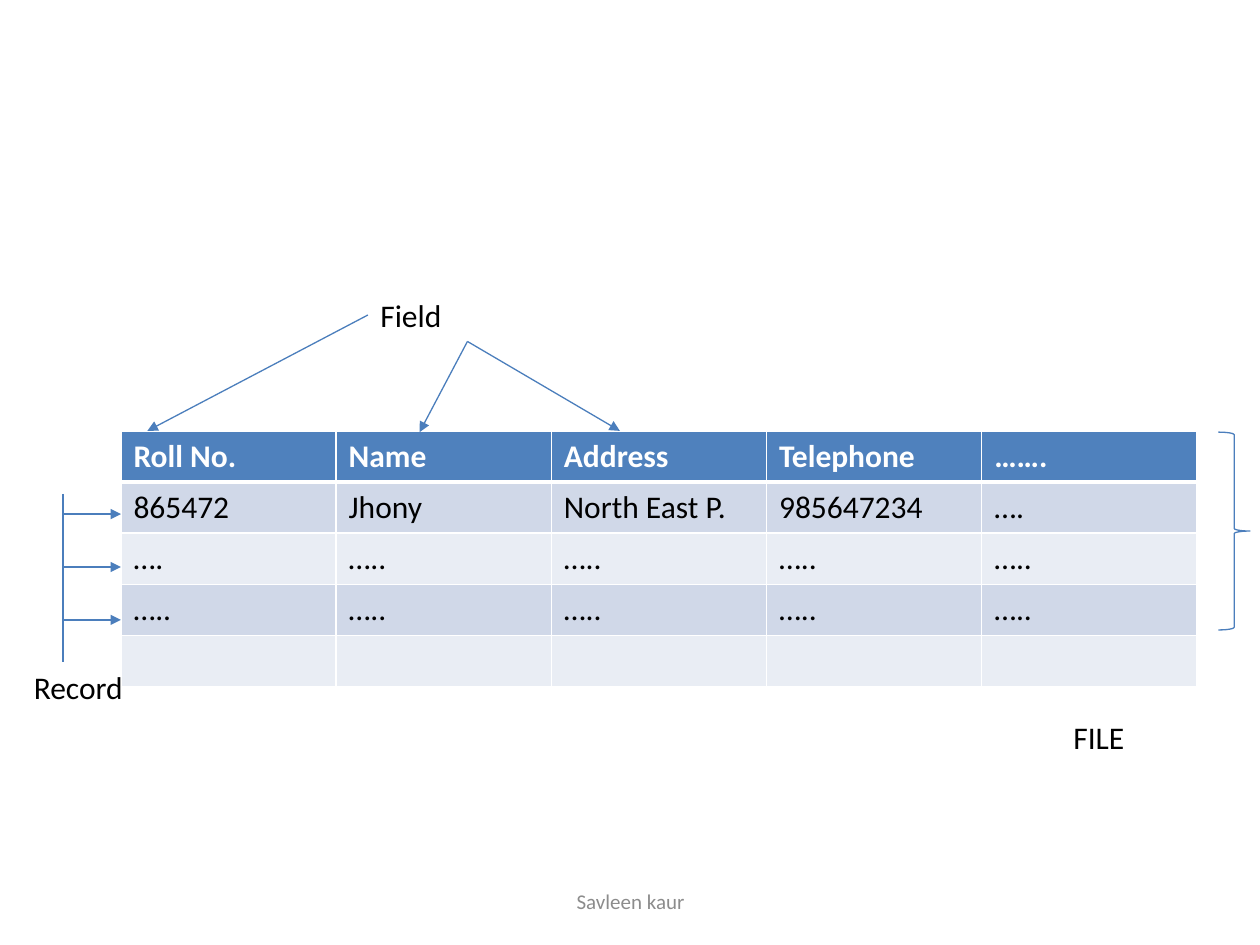
"""Build a slide that shows fields, records and a file in a student table."""
from dataclasses import dataclass
from typing import Optional

from lxml.etree import SubElement
from pptx import Presentation
from pptx.dml.color import RGBColor
from pptx.enum.shapes import MSO_CONNECTOR, MSO_SHAPE
from pptx.enum.text import MSO_ANCHOR as Anchor, PP_ALIGN as Align
from pptx.oxml.ns import qn
from pptx.util import Inches, Pt

FONT = "Calibri"
LINE = "4B7EBC"
WHITE = "FFFFFF"
BLACK = "000000"
HEADER_FILL = "4F81BD"
BAND_FILLS = ("E9EDF4", "D0D8E8")
TABLE_LEFT, TABLE_TOP = 0.96, 3.42
TABLE_WIDTH, TABLE_HEIGHT = 8.54, 2.03
BRANCH_X = 0.5
ROWS = [
    ["Roll No.", "Name", "Address", "Telephone", "……."],
    ["865472", "Jhony", "North East P.", "985647234", "…."],
    ["….", "…..", "…..", "…..", "….."],
    ["….."] * 5,
    [""] * 5,
]


@dataclass
class Label:
    text: str
    left: float
    top: float
    width: float = 1.58
    size: int = 18
    color: str = BLACK
    align: Align = Align.LEFT
    anchor: Anchor = Anchor.TOP


@dataclass
class Line:
    start: tuple[float, float]
    end: tuple[float, float]
    arrow: bool = True
    start_label: Optional[str] = None


LABELS = [
    Label("Savleen kaur", 3.42, 6.95, 3.17, 12, "8C8C8C", Align.CENTER, Anchor.MIDDLE),
    Label("Field", 2.92, 2.3),
    Label("Record", 0.17, 5.25),
    Label("FILE", 8.42, 5.65),
]
LINES = [
    Line((2.92, 2.5), (1.17, TABLE_TOP), start_label="Field"),
    Line((3.71, 2.71), (3.33, 3.43)),
    Line((3.71, 2.71), (4.92, TABLE_TOP)),
    Line((BRANCH_X, 3.92), (BRANCH_X, 5.25), arrow=False),
    *(Line((BRANCH_X, y), (TABLE_LEFT, y)) for y in (4.08, 4.5, 4.92)),
]


def rgb(color: str) -> RGBColor:
    return RGBColor.from_string(color)


def style_text(paragraph, size: int, color: str, bold: bool = False) -> None:
    for run in paragraph.runs:
        run.font.name = FONT
        run.font.size = Pt(size)
        run.font.bold = bold
        run.font.color.rgb = rgb(color)


def style_line(line) -> None:
    line.color.rgb = rgb(LINE)
    line.width = Pt(0.75)


def add_border(cell, side: str, points: float) -> None:
    properties = cell._tc.get_or_add_tcPr()
    border = SubElement(properties, qn(f"a:ln{side}"), w=str(Pt(points)))
    fill = SubElement(border, qn("a:solidFill"))
    SubElement(fill, qn("a:srgbClr"), val=WHITE)


def add_student_table(slide) -> None:
    frame = slide.shapes.add_table(
        len(ROWS), len(ROWS[0]), Inches(TABLE_LEFT), Inches(TABLE_TOP),
        Inches(TABLE_WIDTH), Inches(TABLE_HEIGHT),
    )
    for row, texts in enumerate(ROWS):
        header = row == 0
        for column, text in enumerate(texts):
            cell = frame.table.cell(row, column)
            for side in "LRTB":
                thick = (header and side == "B") or (row == 1 and side == "T")
                add_border(cell, side, 3 if thick else 1)
            cell.fill.solid()
            cell.fill.fore_color.rgb = rgb(HEADER_FILL if header else BAND_FILLS[row % 2])
            cell.text_frame.text = text
            style_text(cell.text_frame.paragraphs[0], 18, WHITE if header else BLACK, header)


def add_label(slide, label: Label):
    shape = slide.shapes.add_textbox(
        Inches(label.left), Inches(label.top), Inches(label.width), Inches(0.4)
    )
    text_frame = shape.text_frame
    text_frame.word_wrap = True
    text_frame.vertical_anchor = label.anchor
    text_frame.text = label.text
    paragraph = text_frame.paragraphs[0]
    paragraph.alignment = label.align
    style_text(paragraph, label.size, label.color)
    return shape


def add_line(slide, line: Line, label_shapes: dict) -> None:
    points = [Inches(value) for value in (*line.start, *line.end)]
    connector = slide.shapes.add_connector(MSO_CONNECTOR.STRAIGHT, *points)
    if line.start_label:
        connector.begin_connect(label_shapes[line.start_label], 1)
    style_line(connector.line)
    if line.arrow:
        SubElement(connector.line._get_or_add_ln(), qn("a:tailEnd"), type="triangle")
    SubElement(connector._element.spPr, qn("a:effectLst"))


def add_file_brace(slide) -> None:
    brace = slide.shapes.add_shape(
        MSO_SHAPE.RIGHT_BRACE, Inches(9.67), Inches(3.43), Inches(0.25), Inches(1.57)
    )
    brace.shadow.inherit = False
    brace.fill.background()
    style_line(brace.line)


def main() -> None:
    presentation = Presentation()
    presentation.slide_width, presentation.slide_height = Inches(10), Inches(7.5)
    slide = presentation.slides.add_slide(presentation.slide_layouts[6])
    add_student_table(slide)
    label_shapes = {label.text: add_label(slide, label) for label in LABELS}
    for line in LINES:
        add_line(slide, line, label_shapes)
    add_file_brace(slide)
    presentation.save("out.pptx")


if __name__ == "__main__":
    main()
